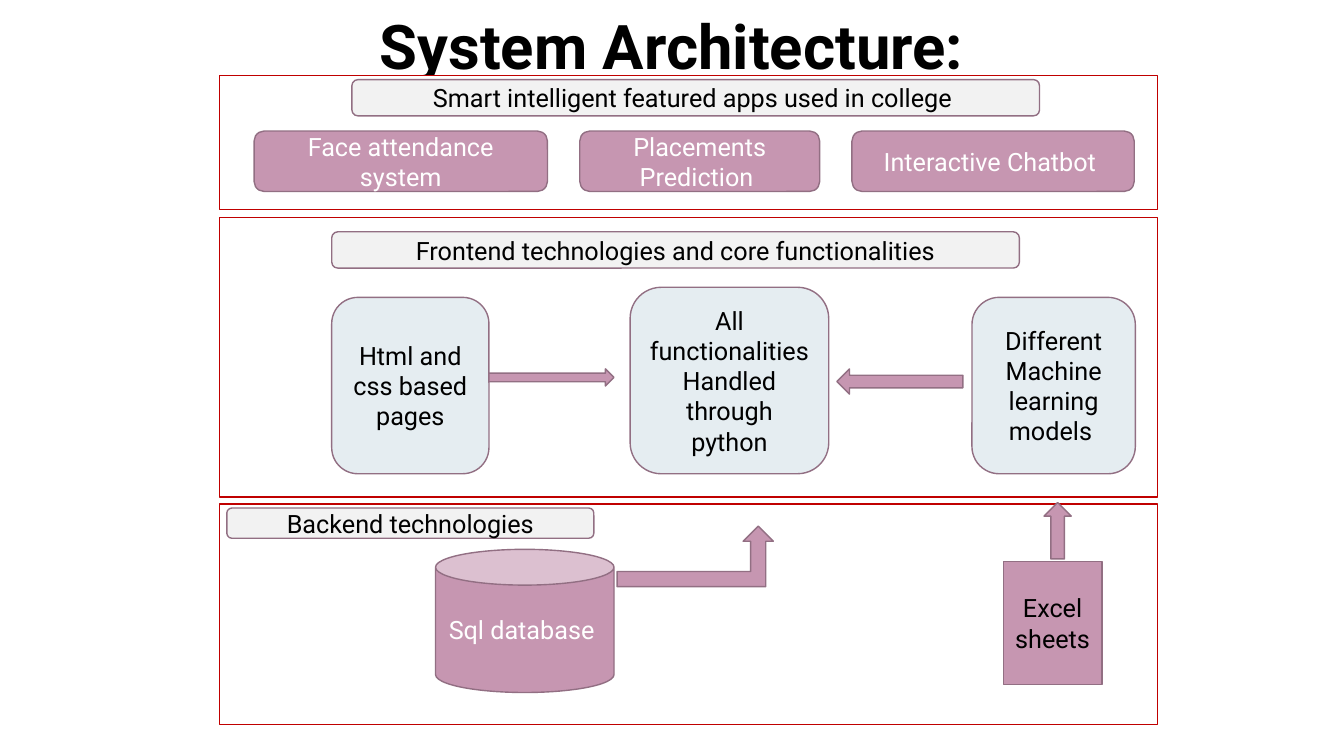
import pptx
import pptx.dml.color
import pptx.enum.shapes
import pptx.enum.text
import pptx.util

RGBColor = pptx.dml.color.RGBColor
SHAPE = pptx.enum.shapes.MSO_SHAPE
ANCHOR = pptx.enum.text.MSO_ANCHOR
CENTER = pptx.enum.text.PP_ALIGN.CENTER

WHITE = RGBColor(0xFF, 0xFF, 0xFF)
BLACK = RGBColor(0x00, 0x00, 0x00)
RED = RGBColor(0xC0, 0x00, 0x00)
MAUVE = RGBColor(0xC6, 0x96, 0xB1)
PLUM = RGBColor(0x92, 0x6F, 0x83)
GREY = RGBColor(0xF2, 0xF2, 0xF2)
PALE_BLUE = RGBColor(0xE5, 0xED, 0xF1)


def px(length):
    """Turn px, 100 to the inch, into EMU."""
    return pptx.util.Emu(length * 9144)


class Diagram:
    font = "Roboto"
    body_size = 18
    title_size = 44

    def __init__(self, slide):
        self.slide = slide

    def set_text(self, frame, text, size, color, bold=False):
        frame.word_wrap = True
        frame.text = text
        for para in frame.paragraphs:
            para.alignment = CENTER
            for span in para.runs:
                span.font.name = self.font
                span.font.size = pptx.util.Pt(size)
                span.font.bold = bold
                span.font.color.rgb = color

    def title(self, text, place):
        box = self.slide.shapes.add_textbox(*map(px, place))
        box.text_frame.margin_top = px(8)
        box.text_frame.vertical_anchor = ANCHOR.TOP
        self.set_text(box.text_frame, text, self.title_size, BLACK, bold=True)

    def shape(self, kind, place, fill, line=PLUM):
        shape = self.slide.shapes.add_shape(kind, *map(px, place))
        shape.shadow.inherit = False
        shape.fill.solid()
        shape.fill.fore_color.rgb = fill
        shape.line.color.rgb = line
        shape.line.width = pptx.util.Pt(1)
        return shape

    def layer(self, top, height):
        self.shape(SHAPE.RECTANGLE, (218, top, 930, height), WHITE, RED)

    def node(self, text, place, fill, color=BLACK, kind=SHAPE.ROUNDED_RECTANGLE):
        frame = self.shape(kind, place, fill).text_frame
        frame.vertical_anchor = ANCHOR.MIDDLE
        self.set_text(frame, text, self.body_size, color)

    def arrow(self, place, rotation=0, kind=SHAPE.RIGHT_ARROW):
        self.shape(kind, place, MAUVE).rotation = rotation


def main():
    deck = pptx.Presentation()
    deck.slide_width, deck.slide_height = px(1333), px(750)
    diagram = Diagram(deck.slides.add_slide(deck.slide_layouts[6]))

    diagram.title("System Architecture:", (0, 0, 1333, 64))
    for top, height in ((75, 133), (216, 277), (500, 219)):
        diagram.layer(top, height)

    for text, place in (
        ("Smart intelligent featured apps used in college ", (349, 79, 682, 36)),
        ("Frontend technologies and core functionalities", (329, 230, 682, 36)),
        ("Backend technologies", (225, 504, 364, 30)),
    ):
        diagram.node(text, place, GREY)

    for text, left, width in (
        ("Face attendance system", 252, 291),
        ("Placements Prediction ", 575, 238),
        ("Interactive Chatbot ", 845, 280),
    ):
        diagram.node(text, (left, 130, width, 60), MAUVE, WHITE)

    for text, place in (
        ("Html and css based pages", (329, 295, 156, 175)),
        ("All functionalities \nHandled through python", (625, 285, 197, 185)),
        ("Different Machine learning models ", (964, 295, 162, 175)),
    ):
        diagram.node(text, place, PALE_BLUE)

    diagram.node("Sql database ", (432, 545, 177, 142), MAUVE, WHITE, SHAPE.CAN)
    diagram.node("Excel sheets", (995, 557, 98, 122), MAUVE, kind=SHAPE.RECTANGLE)

    diagram.arrow((485, 366, 124, 17))
    diagram.arrow((830, 366, 125, 25), rotation=180)
    diagram.arrow((612, 522, 155, 60), kind=SHAPE.BENT_UP_ARROW)
    diagram.arrow((1021, 513, 56, 27), rotation=270)

    deck.save("out.pptx")


if __name__ == "__main__":
    main()
